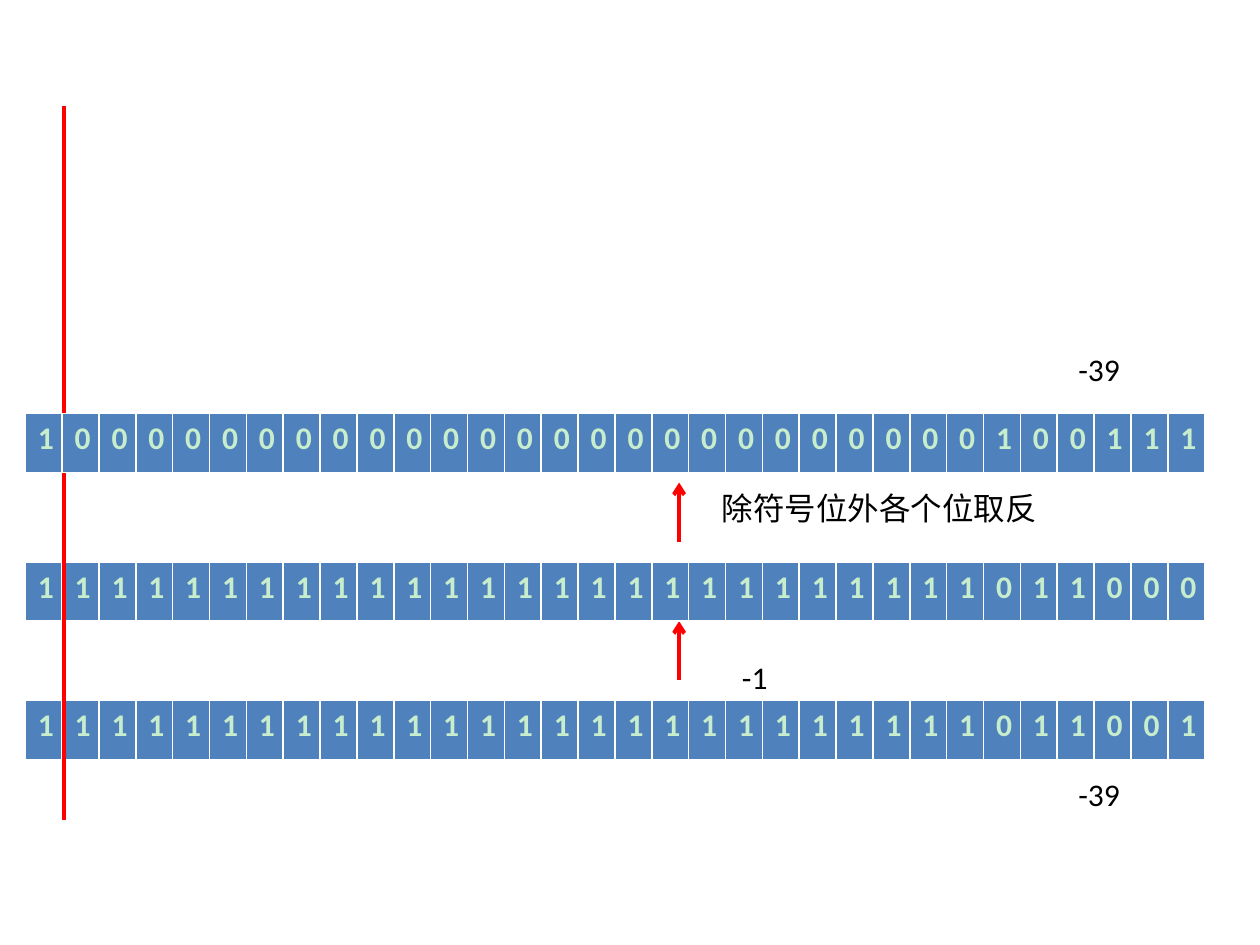
from lxml.etree import SubElement
from pptx import Presentation
from pptx.dml.color import RGBColor
from pptx.enum.shapes import MSO_CONNECTOR
from pptx.oxml.ns import qn
from pptx.util import Inches, Pt

RED = RGBColor(0xFF, 0x00, 0x00)
BLUE = RGBColor(0x4F, 0x81, 0xBD)
MINT = RGBColor(0xC7, 0xED, 0xCC)
BLACK = RGBColor(0x00, 0x00, 0x00)

ROW_LEFT, ROW_WIDTH, ROW_HEIGHT = 0.2, 9.37, 0.47
SIGN_X, ARROW_X = 0.51, 5.39
FONT = {"name": "Calibri", "size": Pt(18)}

COMPLEMENT = "1" * 26 + "011001"
INVERSE = "1" * 26 + "011000"
ORIGINAL = "1" + "0" * 25 + "100111"


def set_font(para, **extra):
    for name, value in {**FONT, **extra}.items():
        setattr(para.font, name, value)


def add_bits(page, top, bits):
    """One-row table with a cell for each bit."""
    table = page.shapes.add_table(
        1, len(bits), Inches(ROW_LEFT), Inches(top),
        Inches(ROW_WIDTH), Inches(ROW_HEIGHT)).table
    for cell, bit in zip(table.rows[0].cells, bits):
        cell.fill.solid()
        cell.fill.fore_color.rgb = BLUE
        para = cell.text_frame.paragraphs[0]
        span = para.add_run()
        span.text = bit
        set_font(span, bold=True)
        span.font.color.rgb = MINT


def add_line(page, x, start, end, arrow=False):
    """Vertical red line, with an arrowhead at its end if wanted."""
    line = page.shapes.add_connector(
        MSO_CONNECTOR.STRAIGHT, Inches(x), Inches(start), Inches(x), Inches(end))
    line.line.color.rgb = RED
    line.line.width = Pt(2.25)
    if arrow:
        SubElement(line.line._get_or_add_ln(), qn("a:tailEnd"), type="arrow")
    SubElement(line._element.spPr, qn("a:effectLst"))


def add_label(page, left, top, width, text):
    box = page.shapes.add_textbox(
        Inches(left), Inches(top), Inches(width), Inches(0.4))
    box.text_frame.word_wrap = True
    para = box.text_frame.paragraphs[0]
    span = para.add_run()
    span.text = text
    set_font(span)
    span.font.color.rgb = BLACK


def build_conversion(page):
    # Two's complement, inverse, and the divider after the sign bit
    add_bits(page, 5.56, COMPLEMENT)
    add_line(page, ARROW_X, 5.4, 4.93, arrow=True)
    add_bits(page, 4.46, INVERSE)
    add_line(page, SIGN_X, 0.84, 6.51)
    add_line(page, ARROW_X, 4.3, 3.83, arrow=True)

    # Sign and magnitude, in front of the divider
    add_bits(page, 3.28, ORIGINAL)

    # Values and steps
    for left, top, width, text in (
            (5.79, 5.17, 1.1, "-1"),
            (5.63, 3.83, 2.99, "除符号位外各个位取反"),
            (8.46, 2.73, 1.18, "-39"),
            (8.46, 6.1, 1.18, "-39")):
        add_label(page, left, top, width, text)


def main():
    deck = Presentation()
    deck.slide_width, deck.slide_height = Inches(10), Inches(7.5)
    page = deck.slides.add_slide(deck.slide_layouts[6])
    build_conversion(page)
    deck.save("out.pptx")


if __name__ == "__main__":
    main()
